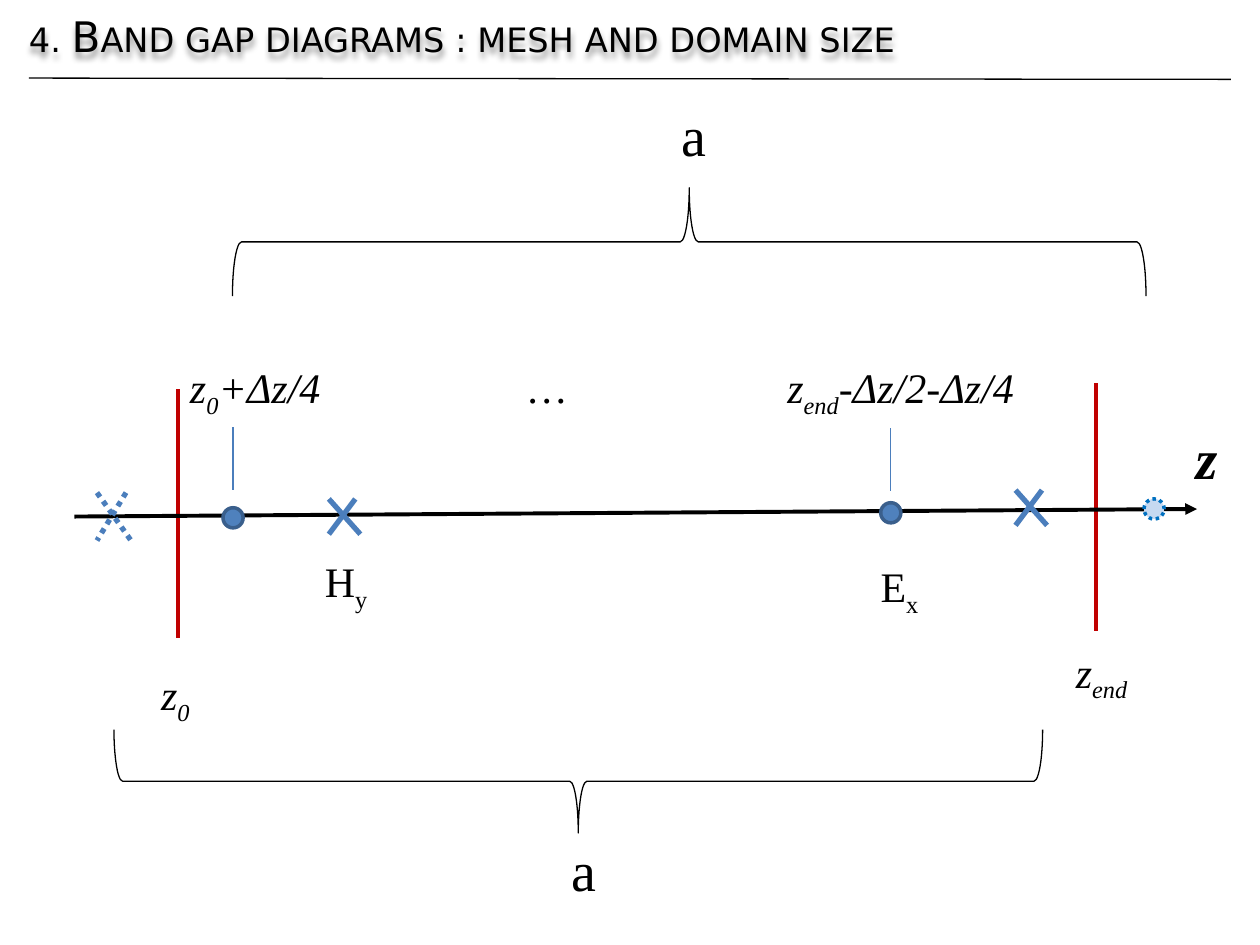
from lxml import etree
from pptx import Presentation
from pptx.dml.color import RGBColor
from pptx.enum.dml import MSO_LINE
from pptx.enum.shapes import MSO_CONNECTOR, MSO_SHAPE
from pptx.enum.text import MSO_ANCHOR, MSO_AUTO_SIZE, PP_ALIGN
from pptx.oxml.ns import qn
from pptx.util import Inches, Pt

STRAIGHT = MSO_CONNECTOR.STRAIGHT
OVAL, BRACE = MSO_SHAPE.OVAL, MSO_SHAPE.LEFT_BRACE
DOTTED = MSO_LINE.ROUND_DOT
BLACK = RGBColor(0x00, 0x00, 0x00)
RED = RGBColor(0xC0, 0x00, 0x00)
BLUE = RGBColor(0x4B, 0x7E, 0xBC)
DOT_FILL = RGBColor(0x4F, 0x81, 0xBD)
DOT_LINE = RGBColor(0x3A, 0x5F, 0x8C)
GHOST_FILL = RGBColor(0xC6, 0xD9, 0xF1)
GHOST_LINE = RGBColor(0x00, 0x70, 0xC0)
TITLE_FONT, LABEL_FONT = "DejaVu Sans", "Times New Roman"
DOT_SIZE = 0.16

# Content, in inches and points
TITLE = "4. Band gap diagrams : mesh and domain size"
# x1, y1, x2, y2, colour, width
TITLE_RULE = (0.23, 0.62, 9.77, 0.63, BLACK, 0.75)
BOUNDARIES = [(1.41, 3.09, 1.41, 5.06, RED, 2.25),
              (8.7, 3.04, 8.7, 5.01, RED, 2.25)]
AXIS = (0.59, 4.1, 9.5, 4.04, BLACK, 2.25)
LEADERS = [(1.85, 3.39, 1.85, 3.89, BLUE, 0.75),
           (7.07, 3.4, 7.07, 3.9, BLUE, 0.75)]
# left, top, width, height, inset of the upper right end, dash
CROSSES = [(0.77, 3.91, 0.27, 0.38, 0.04, DOTTED),
           (2.61, 3.96, 0.25, 0.28, 0.04, None),
           (8.06, 3.89, 0.25, 0.28, 0.04, None)]
# centre x, centre y, fill, line, dash
DOTS = [(1.85, 4.11, DOT_FILL, DOT_LINE, None),
        (7.07, 4.07, DOT_FILL, DOT_LINE, None),
        (9.16, 4.04, GHOST_FILL, GHOST_LINE, DOTTED)]
# centre x, centre y, span, depth, rotation
BRACES = [(5.47, 1.92, 7.25, 0.86, 90),
          (4.59, 6.2, 7.37, 0.82, 270)]
# left, top, width, height, size, bold, italic, parts (text, subscript, text)
LABELS = [
    (6.89, 4.4, 0.52, 0.5, 24, False, False, ("E", "x")),
    (2.48, 4.36, 0.56, 0.5, 24, False, False, ("H", "y")),
    (8.44, 5.08, 0.66, 0.5, 24, False, True, ("z", "end")),
    (1.18, 5.26, 0.45, 0.5, 24, False, True, ("z", "0")),
    (1.41, 2.82, 1.24, 0.5, 24, False, True, ("z", "0", "+Δz/4")),
    (4.1, 2.82, 0.53, 0.5, 24, False, True, ("…",)),
    (6.15, 2.82, 2.02, 0.5, 24, False, True, ("z", "end", "-Δz/2-Δz/4")),
    (9.39, 3.31, 0.38, 0.64, 32, True, True, ("z",)),
    (5.31, 0.75, 0.4, 0.64, 32, False, False, ("a",)),
    (4.44, 6.58, 0.4, 0.64, 32, False, False, ("a",)),
]


def style_line(line, color, width, dash=None):
    line.color.rgb = color
    line.width = Pt(width)
    if dash:
        line.dash_style = dash


def add_line(shapes, x1, y1, x2, y2, color, width, dash=None):
    connector = shapes.add_connector(STRAIGHT, *map(Inches, (x1, y1, x2, y2)))
    style_line(connector.line, color, width, dash)
    etree.SubElement(connector._element.spPr, qn("a:effectLst"))
    return connector


def add_cross(slide, left, top, width, height, inset, dash):
    group = slide.shapes.add_group_shape()
    right, bottom = left + width, top + height
    add_line(group.shapes, left, top, right, bottom, BLUE, 3, dash)
    add_line(group.shapes, right - inset, top, left, bottom, BLUE, 3, dash)


def add_centered(slide, kind, x, y, width, height):
    shape = slide.shapes.add_shape(kind, Inches(x - width / 2), Inches(y - height / 2),
                                   Inches(width), Inches(height))
    shape.shadow.inherit = False
    return shape


def add_label(slide, left, top, width, height, size, bold, italic, parts):
    box = slide.shapes.add_textbox(*map(Inches, (left, top, width, height)))
    box.text_frame.word_wrap = False
    box.text_frame.auto_size = MSO_AUTO_SIZE.SHAPE_TO_FIT_TEXT
    paragraph = box.text_frame.paragraphs[0]
    font = paragraph.font
    font.name, font.size, font.bold, font.italic = LABEL_FONT, Pt(size), bold, italic
    font.color.rgb = BLACK
    for index, part in enumerate(parts):
        run = paragraph.add_run()
        run.text = part
        if index == 1:
            run.font._element.set("baseline", "-25000")


def set_title(title):
    title.left, title.top = Inches(0.23), Inches(0.08)
    title.width, title.height = Inches(9.61), Inches(0.62)
    frame = title.text_frame
    frame.text = TITLE
    frame.word_wrap = True
    frame.auto_size = MSO_AUTO_SIZE.NONE
    frame.vertical_anchor = MSO_ANCHOR.TOP
    frame.margin_left = frame.margin_right = frame.margin_bottom = 0
    frame.margin_top = Inches(0.05)
    paragraph = frame.paragraphs[0]
    paragraph.alignment = PP_ALIGN.LEFT
    paragraph.line_spacing = 0.9
    paragraph.font.name, paragraph.font.size = TITLE_FONT, Pt(24)
    paragraph.font.color.rgb = BLACK
    paragraph.runs[0].font._element.set("cap", "small")
    # Soft shadow under the letters
    effects = etree.SubElement(title._element.spPr, qn("a:effectLst"))
    shadow = etree.SubElement(effects, qn("a:outerShdw"), blurRad="38100",
                              dist="38100", dir="5400000")
    color = etree.SubElement(shadow, qn("a:srgbClr"), val="000000")
    etree.SubElement(color, qn("a:alpha"), val="40000")


def main():
    presentation = Presentation()
    presentation.slide_width, presentation.slide_height = Inches(10), Inches(7.5)
    slide = presentation.slides.add_slide(presentation.slide_layouts[5])
    set_title(slide.shapes.title)
    add_line(slide.shapes, *TITLE_RULE)

    # Domain boundaries, axis and leaders
    for boundary in BOUNDARIES:
        add_line(slide.shapes, *boundary)
    axis = add_line(slide.shapes, *AXIS)
    etree.SubElement(axis.line._get_or_add_ln(), qn("a:tailEnd"), type="triangle")
    for leader in LEADERS:
        add_line(slide.shapes, *leader)

    # Field nodes
    for cross in CROSSES:
        add_cross(slide, *cross)
    for x, y, fill, color, dash in DOTS:
        dot = add_centered(slide, OVAL, x, y, DOT_SIZE, DOT_SIZE)
        dot.fill.solid()
        dot.fill.fore_color.rgb = fill
        style_line(dot.line, color, 2, dash)

    # Period braces
    for x, y, span, depth, rotation in BRACES:
        brace = add_centered(slide, BRACE, x, y, depth, span)
        brace.rotation = rotation
        brace.fill.background()
        style_line(brace.line, BLACK, 0.75)

    for label in LABELS:
        add_label(slide, *label)
    presentation.save("out.pptx")


if __name__ == "__main__":
    main()
